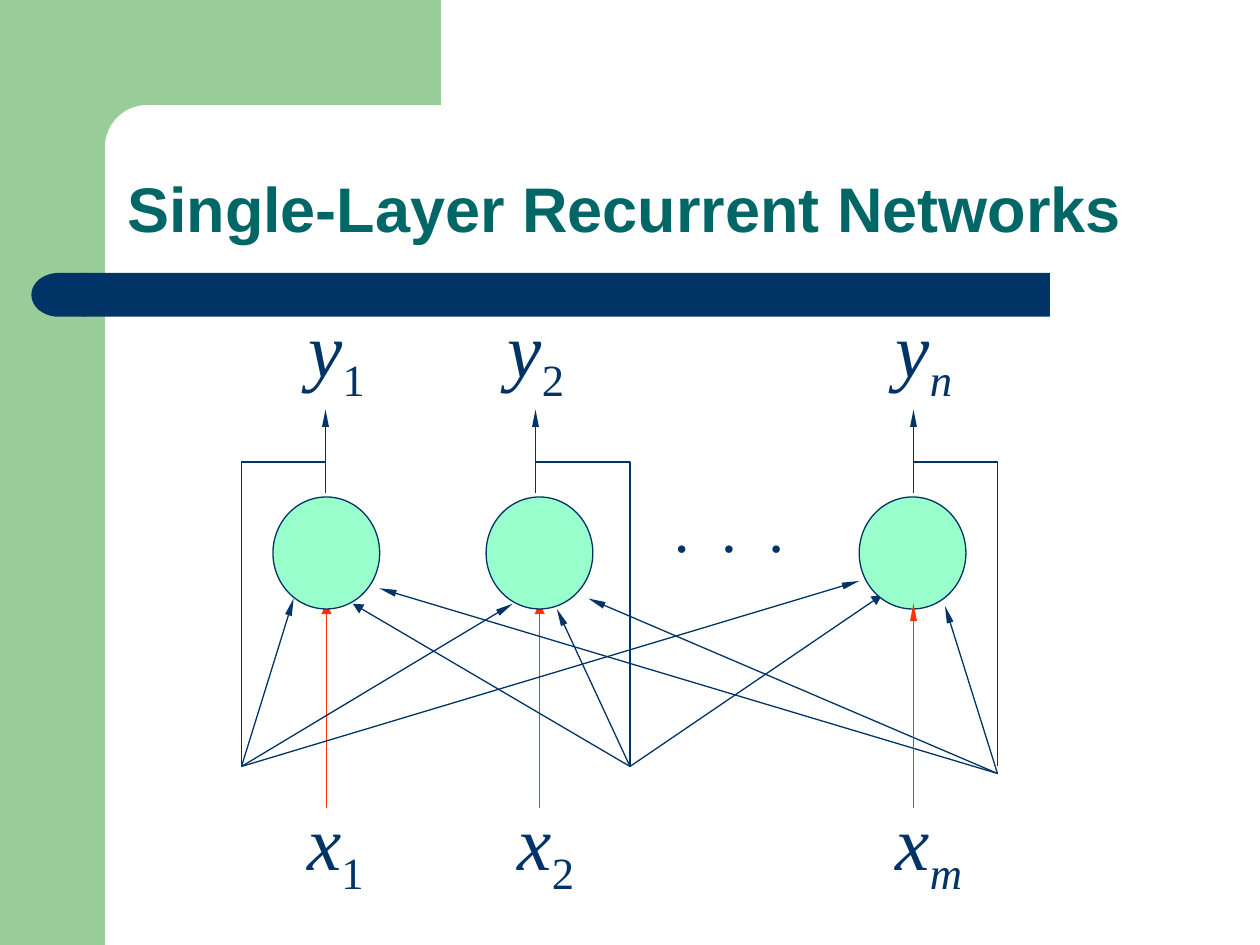
from dataclasses import dataclass
from math import cos, pi, sin

from lxml import etree
from pptx import Presentation
from pptx.dml.color import RGBColor
from pptx.enum.shapes import MSO_CONNECTOR, MSO_SHAPE
from pptx.enum.text import MSO_ANCHOR, MSO_AUTO_SIZE, PP_ALIGN
from pptx.oxml.ns import qn
from pptx.util import Pt

STRAIGHT = MSO_CONNECTOR.STRAIGHT
RECTANGLE, OVAL = MSO_SHAPE.RECTANGLE, MSO_SHAPE.OVAL
DELAY = MSO_SHAPE.FLOWCHART_DELAY
BOTTOM, TOP = MSO_ANCHOR.BOTTOM, MSO_ANCHOR.TOP
NO_FIT, GROW = MSO_AUTO_SIZE.NONE, MSO_AUTO_SIZE.SHAPE_TO_FIT_TEXT
LEFT = PP_ALIGN.LEFT


@dataclass(frozen=True)
class Theme:
    navy: str = "003366"
    green: str = "99CC99"
    mint: str = "99FFCC"
    teal: str = "006666"
    red: str = "FF3300"
    title_font: str = "Arial"
    math_font: str = "Times New Roman"
    title_size: float = 36
    dots_size: float = 36
    symbol_size: float = 44
    line_width: float = 0.75


def color(value):
    return RGBColor.from_string(value)


class SlideBuilder:
    """Draws on one slide in one theme; all lengths are points."""

    def __init__(self, slide, theme):
        self.slide, self.theme = slide, theme

    def paint(self, shape, fill=None, line=None):
        shape.shadow.inherit = False
        if fill:
            shape.fill.solid()
            shape.fill.fore_color.rgb = color(fill)
        else:
            shape.fill.background()
        if line:
            shape.line.color.rgb = color(line)
            shape.line.width = Pt(self.theme.line_width)
        else:
            shape.line.fill.background()

    def shape(self, kind, left, top, width, height, fill, line=None):
        shape = self.slide.shapes.add_shape(kind, Pt(left), Pt(top), Pt(width), Pt(height))
        self.paint(shape, fill, line)
        return shape

    def outline(self, points, fill=None, line=None):
        start, *others = [(Pt(x), Pt(y)) for x, y in points]
        builder = self.slide.shapes.build_freeform(*start)
        builder.add_line_segments(others, close=fill is not None)
        self.paint(builder.convert_to_shape(), fill, line)

    def arrow(self, tip, source, line, slim=True):
        connector = self.slide.shapes.add_connector(
            STRAIGHT, *[Pt(value) for value in (*tip, *source)])
        connector.line.color.rgb = color(line)
        connector.line.width = Pt(self.theme.line_width)
        properties = connector._element.spPr
        head = etree.SubElement(properties.find(qn("a:ln")), qn("a:headEnd"))
        head.set("type", "triangle")
        if slim:
            head.set("w", "sm")
            head.set("len", "lg")
        etree.SubElement(properties, qn("a:effectLst"))

    def title(self, text, left, top, width, height):
        title = self.slide.shapes.title
        title.left, title.top, title.width, title.height = map(Pt, (left, top, width, height))
        frame = title.text_frame
        frame.text = text
        frame.word_wrap, frame.auto_size, frame.vertical_anchor = True, NO_FIT, BOTTOM
        paragraph = frame.paragraphs[0]
        paragraph.alignment, paragraph.line_spacing = LEFT, 0.9
        self.format(paragraph.runs[0], self.theme.title_font, self.theme.title_size,
                    self.theme.teal, bold=True)

    def format(self, run, font, size, text_color, bold=False, italic=False):
        run.font.name, run.font.size = font, Pt(size)
        run.font.bold, run.font.italic = bold, italic
        run.font.color.rgb = color(text_color)

    def label(self, text, left, top, width, height, size, subscript="", italic=False):
        box = self.slide.shapes.add_textbox(Pt(left), Pt(top), Pt(width), Pt(height))
        frame = box.text_frame
        frame.text = text
        frame.word_wrap, frame.auto_size, frame.vertical_anchor = False, GROW, TOP
        paragraph = frame.paragraphs[0]
        paragraph.alignment = LEFT
        self.format(paragraph.runs[0], self.theme.math_font, size, self.theme.navy, italic=italic)
        if subscript:
            run = paragraph.add_run()
            run.text = subscript
            self.format(run, self.theme.math_font, size, self.theme.navy,
                        italic=subscript.isalpha())
            run.font._element.set("baseline", "-25000")


def draw_frame(builder):
    theme = builder.theme
    # Green side band and top block with a rounded inner corner
    builder.shape(RECTANGLE, 0, 0, 60, 540, theme.green)
    radius, steps = 24, 16
    corner = [(84 - radius * sin(pi / 2 * i / steps), 84 - radius * cos(pi / 2 * i / steps))
              for i in range(steps + 1)]
    builder.outline([(252, 0), (252, 60), *corner, (60, 92), (36, 92), (36, 0)], theme.green)
    # Navy rule with a round left end
    builder.shape(RECTANGLE, 48, 156, 552, 25, theme.navy)
    cap = builder.shape(DELAY, 18, 156, 31, 25, theme.navy)
    cap._element.spPr.find(qn("a:xfrm")).set("flipH", "1")


def draw_network(builder):
    theme = builder.theme
    input_xs, output_xs = (186.6, 308.4, 522), (186, 306, 522)
    feedback = ((138, 438), (360, 438), (570, 442))

    # Inputs and feedback arrows that end under the neurons
    for x in input_xs[:2]:
        builder.arrow((x, 345), (x, 462), theme.red, slim=False)
    for tip in ((201.6, 345), (504, 340)):
        builder.arrow(tip, feedback[1], theme.navy, slim=False)

    # Neurons
    for left in (156, 277.8, 491):
        builder.shape(OVAL, left, 284, 61, 64, theme.mint, theme.navy)
    builder.label(".  .  .", 378, 276, 84, 50.4, theme.dots_size)

    # Input and output symbols
    symbols = (("x", "1", 168.5, 450, 46.8), ("x", "2", 288.7, 450, 46.8),
               ("x", "m", 504.7, 450, 52.6), ("y", "1", 169.2, 168, 46.8),
               ("y", "2", 283, 168, 46.8), ("y", "n", 504.7, 168, 46.8))
    for symbol, index, left, top, width in symbols:
        builder.label(symbol, left, top, width, 67.7, theme.symbol_size, index, italic=True)

    # Output arrows
    for x in output_xs:
        builder.arrow((x, 234), (x, 282), theme.navy)

    # Feedback arrows that end beside the neurons
    tips = (((293, 345), (491, 332), (167.8, 342)),
            ((318.2, 348),),
            ((336.2, 342), (216.7, 336.2), (540, 346.3)))
    for source, source_tips in zip(feedback, tips):
        for tip in source_tips:
            builder.arrow(tip, source, theme.navy)
    builder.arrow((input_xs[2], 345), (input_xs[2], 462), theme.red)

    # Loops from the outputs back down
    for output_x, (loop_x, _) in zip(output_xs, feedback):
        builder.outline([(loop_x, 438), (loop_x, 264), (output_x, 264)], line=theme.navy)


def main():
    presentation = Presentation()
    presentation.slide_width, presentation.slide_height = Pt(720), Pt(540)
    slide = presentation.slides.add_slide(presentation.slide_layouts[5])
    builder = SlideBuilder(slide, Theme())
    draw_frame(builder)
    builder.title("Single-Layer Recurrent Networks", 65.5, 65.5, 612.7, 78.5)
    draw_network(builder)
    presentation.save("out.pptx")


if __name__ == "__main__":
    main()
